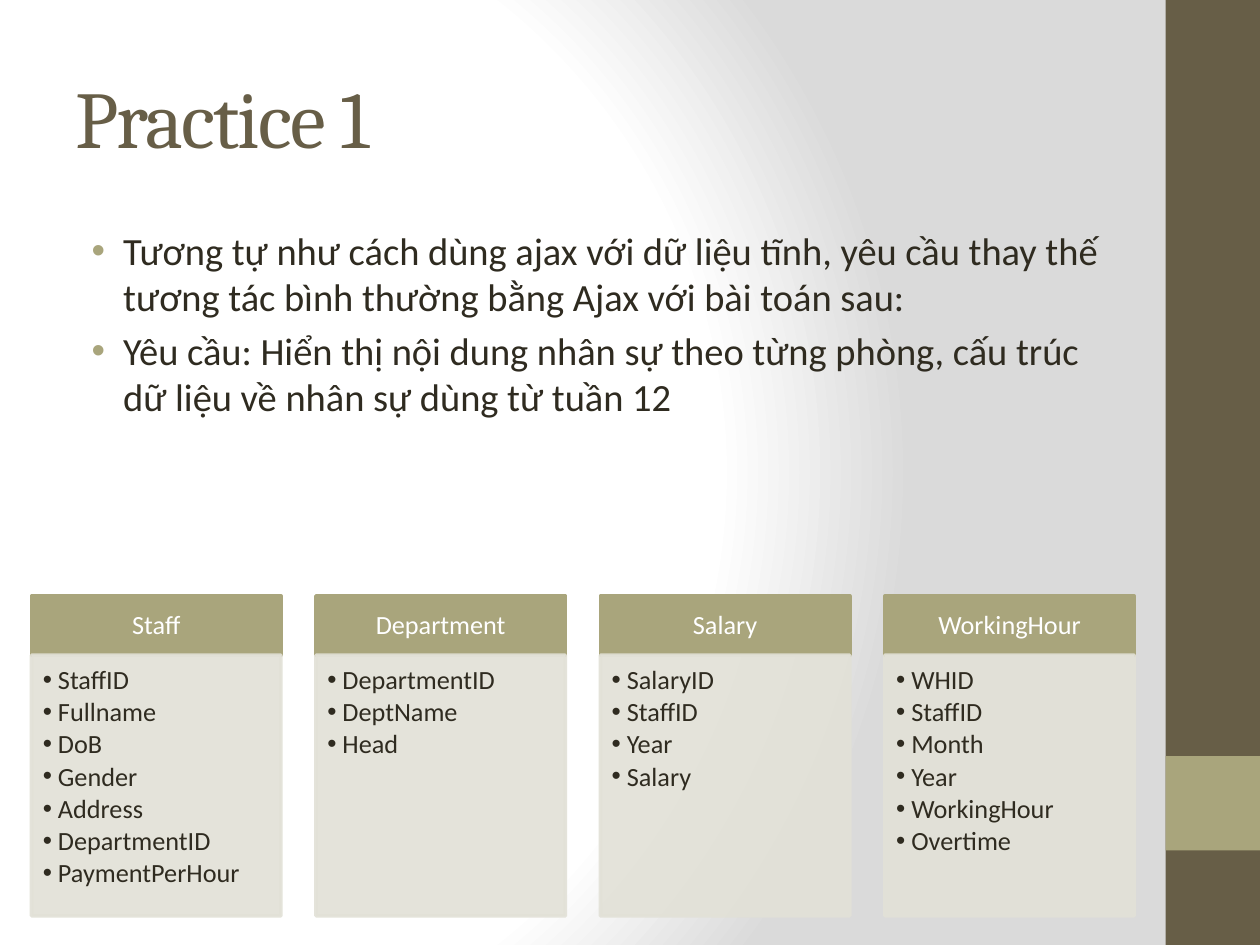
from lxml.etree import SubElement
from pptx import Presentation
from pptx.dml.color import RGBColor
from pptx.enum.shapes import MSO_SHAPE
from pptx.enum.text import MSO_ANCHOR, PP_ALIGN
from pptx.oxml import parse_xml
from pptx.oxml.ns import nsdecls, qn
from pptx.util import Inches, Pt

BROWN = RGBColor(0x67, 0x5E, 0x47)
OLIVE = RGBColor(0xA9, 0xA5, 0x7C)
PALE = RGBColor(0xE2, 0xE1, 0xD7)
INK = RGBColor(0x2F, 0x2B, 0x20)
WHITE = RGBColor(0xFF, 0xFF, 0xFF)

GRID = 0.25  # the page is 40 columns by 30 rows
CARD_INSETS = (0.12, 0.07, 0.12, 0.07)
LIST_INSETS = (0.09, 0.09, 0.12, 0.13)

BACKDROP = f"""<a:gradFill {nsdecls('a')} rotWithShape="1"><a:gsLst>
<a:gs pos="0"><a:srgbClr val="FFFFFF"/></a:gs>
<a:gs pos="75000"><a:srgbClr val="FFFFFF"/></a:gs>
<a:gs pos="100000"><a:srgbClr val="DADADA"/></a:gs></a:gsLst>
<a:path path="circle"><a:fillToRect l="20000" t="50000" r="100000" b="50000"/></a:path>
</a:gradFill>"""

BODY = [
    "Tương tự như cách dùng ajax với dữ liệu tĩnh, yêu cầu thay thế "
    "tương tác bình thường bằng Ajax với bài toán sau:",
    "Yêu cầu: Hiển thị nội dung nhân sự theo từng phòng, cấu trúc "
    "dữ liệu về nhân sự dùng từ tuần 12",
]
TABLES = {
    "Staff": ["StaffID", "Fullname", "DoB", "Gender", "Address",
              "DepartmentID", "PaymentPerHour"],
    "Department": ["DepartmentID", "DeptName", "Head"],
    "Salary": ["SalaryID", "StaffID", "Year", "Salary"],
    "WorkingHour": ["WHID", "StaffID", "Month", "Year", "WorkingHour", "Overtime"],
}


def cells(*counts):
    return [Inches(count * GRID) for count in counts]


class Page:
    """The current slide and its style."""

    def __init__(self, deck):
        self.slide = deck.slides.add_slide(deck.slide_layouts[6])
        self.shapes = self.slide.shapes

    def backdrop(self):
        fill = self.slide.background.fill
        fill.gradient()
        gradient = next(self.slide.element.iter(qn("a:gradFill")))
        gradient.getparent().replace(gradient, parse_xml(BACKDROP))

    def block(self, frame, color, outline=False, opacity=None, shapes=None):
        box = (shapes or self.shapes).add_shape(MSO_SHAPE.RECTANGLE, *cells(*frame))
        box.shadow.inherit = False
        box.fill.solid()
        box.fill.fore_color.rgb = color
        if outline:
            box.line.color.rgb = color
            box.line.width = Pt(2)
        else:
            box.line.fill.background()
        if opacity:
            for tint in box.element.spPr.iter(qn("a:srgbClr")):
                SubElement(tint, qn("a:alpha"), val=str(opacity * 1000))
        return box

    def text_box(self, frame):
        return self.shapes.add_textbox(*cells(*frame))

    def set_text(self, box, lines, size, color, font="Calibri", insets=None,
                 anchor=MSO_ANCHOR.TOP, align=PP_ALIGN.LEFT, spacing=None,
                 before=0, after=0, tracking=None):
        frame = box.text_frame
        frame.word_wrap = True
        frame.vertical_anchor = anchor
        if insets:
            (frame.margin_left, frame.margin_top,
             frame.margin_right, frame.margin_bottom) = map(Inches, insets)
        frame.text = "\n".join(lines)
        for para in frame.paragraphs:
            para.alignment = align
            para.line_spacing = spacing
            para.space_before, para.space_after = Pt(before), Pt(after)
            for span in para.runs:
                span.font.name, span.font.size = font, Pt(size)
                span.font.color.rgb = color
                if tracking:
                    span.font._element.set("spc", str(tracking * 100))

    def bullets(self, box, margin, hang, color):
        for para in box.text_frame.paragraphs:
            props = para._p.get_or_add_pPr()
            props.set("marL", str(Inches(margin)))
            props.set("indent", str(-Inches(hang)))
            tint = SubElement(props, qn("a:buClr"))
            SubElement(tint, qn("a:srgbClr"), val=str(color))
            SubElement(props, qn("a:buFont"), typeface="Arial")
            SubElement(props, qn("a:buChar"), char="•")

    def card(self, group, left, name, fields):
        width = 7.92
        head = self.block((left, 18.92, width, 1.88), OLIVE, True, shapes=group.shapes)
        self.set_text(head, [name], 15, WHITE, insets=CARD_INSETS, spacing=0.9,
                      anchor=MSO_ANCHOR.MIDDLE, align=PP_ALIGN.CENTER)
        listing = self.block((left, 20.8, width, 8.28), PALE, True, 90, group.shapes)
        self.set_text(listing, fields, 15, INK, insets=LIST_INSETS, spacing=0.9,
                      after=2.25)
        self.bullets(listing, 0.12, 0.12, INK)


deck = Presentation()
deck.slide_width, deck.slide_height = cells(40, 30)
page = Page(deck)

# Background and side bar
page.backdrop()
page.block((37, 0, 3, 30), BROWN)
page.block((37, 24, 3, 3), OLIVE)

# Title and instructions
title = page.text_box((2, 1.2, 33.32, 5))
page.set_text(title, ["Practice 1"], 46, BROWN, "Cambria",
              anchor=MSO_ANCHOR.MIDDLE, tracking=-1)
body = page.text_box((2, 7, 33.32, 21))
page.set_text(body, BODY, 22, INK, before=4.4)
page.bullets(body, 0.38, 0.25, OLIVE)

# One card per data table
cards = page.shapes.add_group_shape()
for column, (name, fields) in enumerate(TABLES.items()):
    page.card(cards, 1 + column * 9.03, name, fields)

deck.save("out.pptx")
